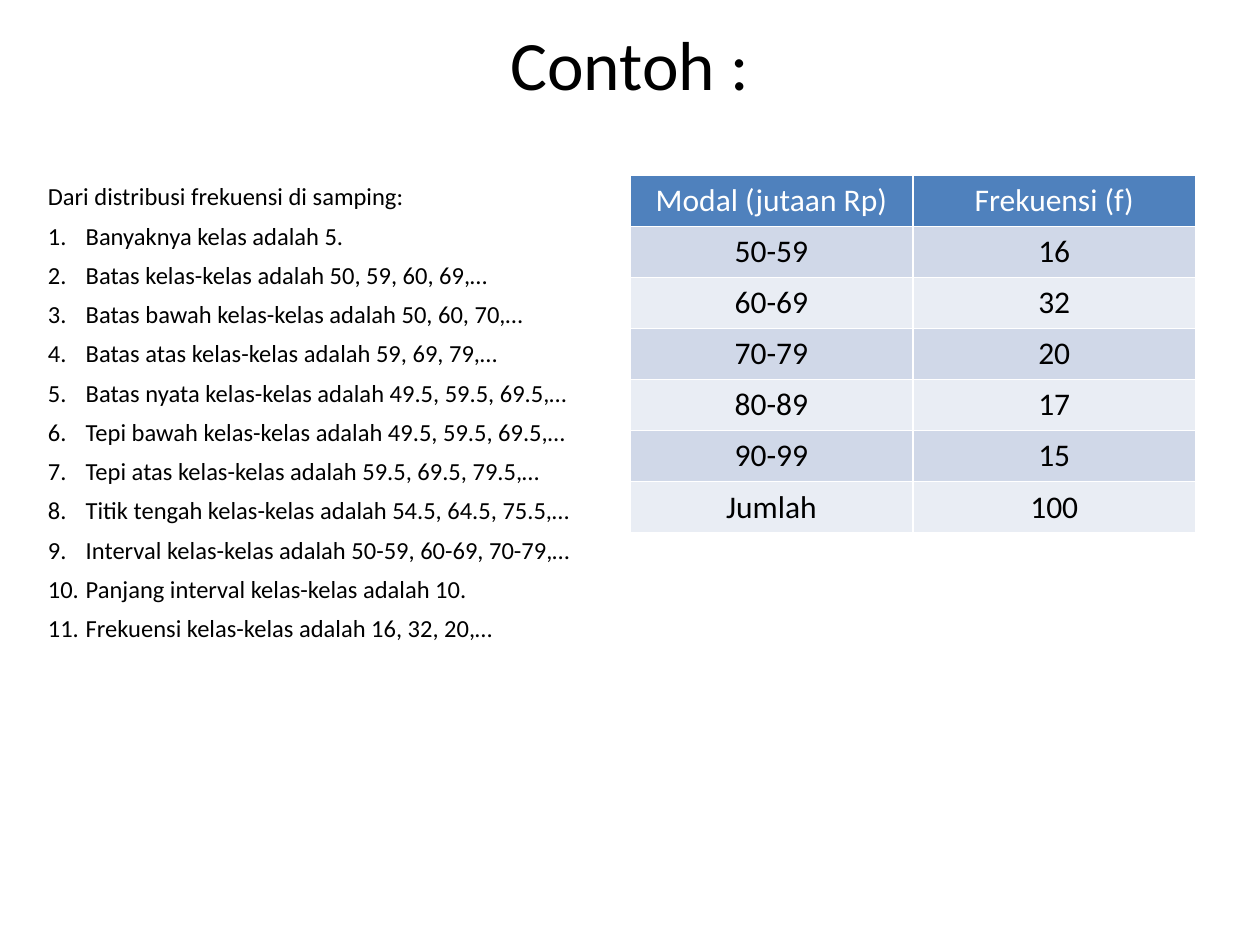
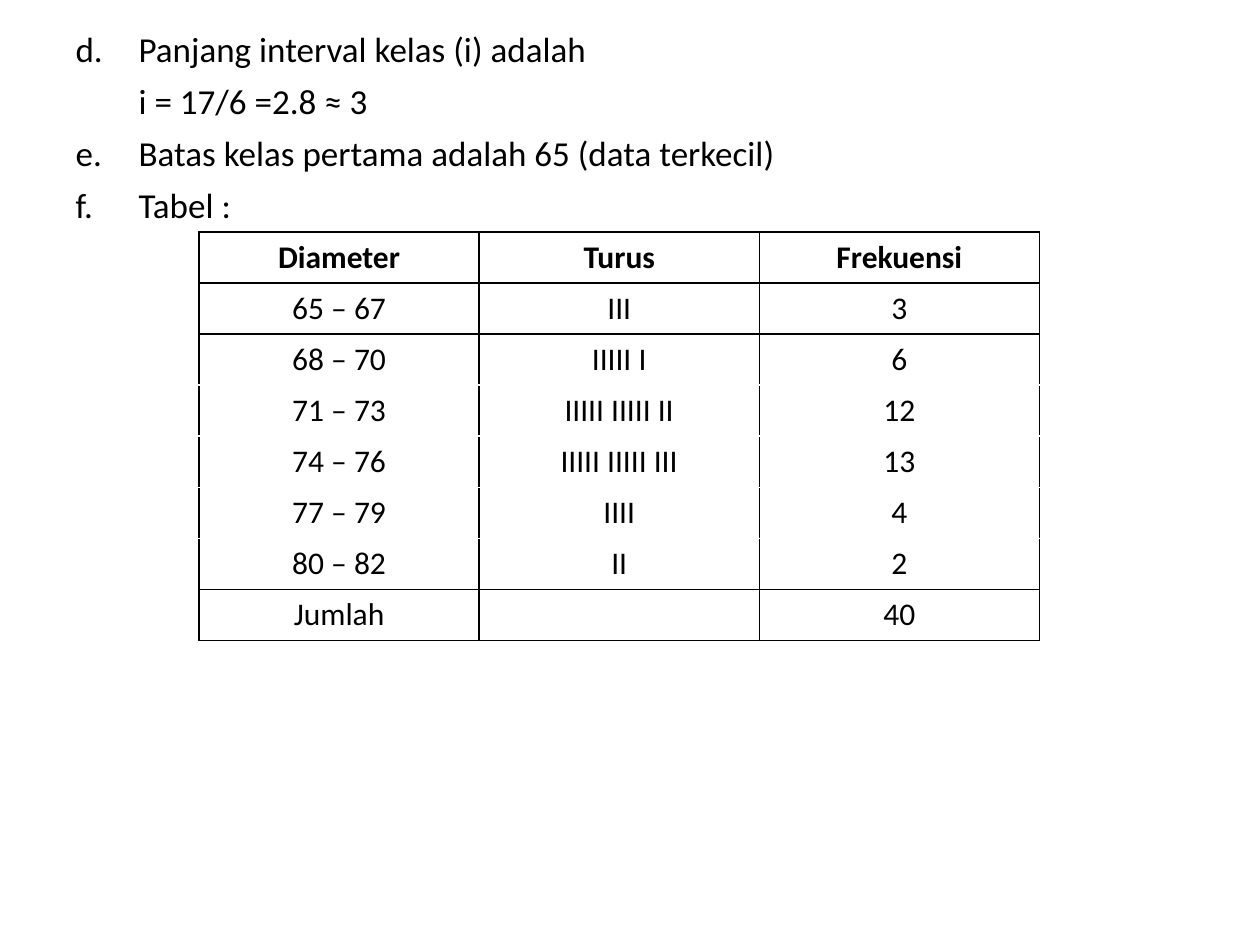
from lxml import etree
from pptx import Presentation
from pptx.dml.color import RGBColor
from pptx.enum import text as t
from pptx.oxml.ns import qn
from pptx.util import Inches, Pt

FONT = "Calibri"
COLORS = {"ink": "000000", "paper": "FFFFFF", "header": "4F81BD",
          "band_dark": "D0D8E8", "band_light": "E9EDF4"}

EXAMPLE_TITLE = "Contoh :"
EXAMPLE_INTRO = "Dari distribusi frekuensi di samping:"
EXAMPLE_FACTS = [
    "Banyaknya kelas adalah 5.",
    "Batas kelas-kelas adalah 50, 59, 60, 69,…",
    "Batas bawah kelas-kelas adalah 50, 60, 70,…",
    "Batas atas kelas-kelas adalah 59, 69, 79,…",
    "Batas nyata kelas-kelas adalah 49.5, 59.5, 69.5,…",
    "Tepi bawah kelas-kelas adalah 49.5, 59.5, 69.5,…",
    "Tepi atas kelas-kelas adalah 59.5, 69.5, 79.5,…",
    "Titik tengah kelas-kelas adalah 54.5, 64.5, 75.5,…",
    "Interval kelas-kelas adalah 50-59, 60-69, 70-79,…",
    "Panjang interval kelas-kelas adalah 10.",
    "Frekuensi kelas-kelas adalah 16, 32, 20,…",
]
CAPITAL_ROWS = [
    ("Modal (jutaan Rp)", "Frekuensi (f)"),
    ("50-59", "16"),
    ("60-69", "32"),
    ("70-79", "20"),
    ("80-89", "17"),
    ("90-99", "15"),
    ("Jumlah", "100"),
]

# Each step: text, numbering scheme (or None), first number of its list
STEPS = [
    ("Panjang interval kelas (i) adalah", "alphaLcPeriod", 4),
    ("i = 17/6 =2.8 ≈ 3", None, None),
    ("Batas kelas pertama adalah 65 (data terkecil)", "alphaLcPeriod", 5),
    ("Tabel :", "alphaLcPeriod", 5),
]
DIAMETER_ROWS = [
    ("Diameter", "Turus", "Frekuensi"),
    ("65 – 67", "III", "3"),
    ("68 – 70", "IIIII I", "6"),
    ("71 – 73", "IIIII IIIII II", "12"),
    ("74 – 76", "IIIII IIIII III", "13"),
    ("77 – 79", "IIII", "4"),
    ("80 – 82", "II", "2"),
    ("Jumlah", "", "40"),
]


def color(name):
    return RGBColor.from_string(COLORS[name])


def style_runs(paragraph, size, ink="ink", bold=False):
    for run in paragraph.runs:
        run.font.name = FONT
        run.font.size = Pt(size)
        run.font.bold = bold
        run.font.color.rgb = color(ink)


def place(shape, left, top, width, height):
    shape.left, shape.top = Inches(left), Inches(top)
    shape.width, shape.height = Inches(width), Inches(height)


def number(paragraph, margin, indent, scheme, start):
    """Set the paragraph's indents and its automatic number, if any."""
    props = paragraph._p.get_or_add_pPr()
    props.set("marL", str(Inches(margin)))
    props.set("indent", str(Inches(indent)))
    if scheme:
        etree.SubElement(props, qn("a:buAutoNum"), type=scheme, startAt=str(start))
    else:
        etree.SubElement(props, qn("a:buNone"))


def fill_list(body, box, items, size, hang):
    place(body, *box)
    frame = body.text_frame
    frame.word_wrap = True
    frame.auto_size = t.MSO_AUTO_SIZE.NONE
    frame.text = "\n".join(item[0] for item in items)
    for i, (paragraph, (_, scheme, start)) in enumerate(zip(frame.paragraphs, items)):
        paragraph.space_before = Pt(5.6 if i else 0)
        # An unnumbered first line starts at the edge, a later one under its item
        margin = hang if i or scheme else 0
        number(paragraph, margin, -hang if scheme else 0, scheme, start)
        style_runs(paragraph, size)


def draw_borders(cell, sides, ink):
    props = cell._tc.get_or_add_tcPr()
    for side in "LRTB":
        if side in sides:
            line = etree.SubElement(props, qn(f"a:ln{side}"), w=str(Pt(1)))
            solid = etree.SubElement(line, qn("a:solidFill"))
            etree.SubElement(solid, qn("a:srgbClr"), val=COLORS[ink])


def add_grid(slide, rows, left, top, width, row_height, row_style):
    """Add a centred table; row_style(index) gives fill, ink, bold, border sides, border ink."""
    frame = slide.shapes.add_table(len(rows), len(rows[0]), Inches(left), Inches(top),
                                   Inches(width), Inches(row_height * len(rows)))
    table = frame.table
    table.first_row = table.horz_banding = False
    for r, row in enumerate(rows):
        fill, ink, bold, sides, border_ink = row_style(r)
        for c, value in enumerate(row):
            cell = table.cell(r, c)
            draw_borders(cell, sides, border_ink)
            if fill:
                cell.fill.solid()
                cell.fill.fore_color.rgb = color(fill)
            else:
                cell.fill.background()
            paragraph = cell.text_frame.paragraphs[0]
            paragraph.text = value
            paragraph.alignment = t.PP_ALIGN.CENTER
            style_runs(paragraph, 18, ink, bold)


def banded_row(r):
    if r == 0:
        return "header", "paper", False, "LRTB", "paper"
    return ("band_dark" if r % 2 else "band_light"), "ink", False, "LRTB", "paper"


def ruled_row(r):
    last = len(DIAMETER_ROWS) - 1
    sides = "LR"
    if r in (0, 1, 2, last):
        sides += "T"
    if r in (0, 1, last - 1, last):
        sides += "B"
    return None, "ink", r == 0, sides, "ink"


def build_example(slide):
    title, body = slide.placeholders
    place(title, 0.5, 0.25, 9, 0.5)
    title.text_frame.text = EXAMPLE_TITLE
    title.text_frame.auto_size = t.MSO_AUTO_SIZE.NONE
    title.text_frame.vertical_anchor = t.MSO_ANCHOR.MIDDLE
    heading = title.text_frame.paragraphs[0]
    heading.alignment = t.PP_ALIGN.CENTER
    style_runs(heading, 39.6)
    facts = [(fact, "arabicPeriod", 1) for fact in EXAMPLE_FACTS]
    fill_list(body, (0.28, 1.39, 9, 3.75), [(EXAMPLE_INTRO, None, None)] + facts, 14, 0.3)
    add_grid(slide, CAPITAL_ROWS, 5, 1.39, 4.49, 0.4, banded_row)


def build_steps(slide):
    title, body = slide.placeholders
    title._element.getparent().remove(title._element)
    fill_list(body, (0.5, 0.17, 9, 1.67), STEPS, 20, 0.5)
    add_grid(slide, DIAMETER_ROWS, 1.58, 1.84, 6.67, 0.4, ruled_row)


def main():
    deck = Presentation()
    deck.slide_width, deck.slide_height = Inches(10), Inches(7.5)
    title_and_content = deck.slide_layouts[1]
    for build in (build_example, build_steps):
        build(deck.slides.add_slide(title_and_content))
    deck.save("out.pptx")


if __name__ == "__main__":
    main()
